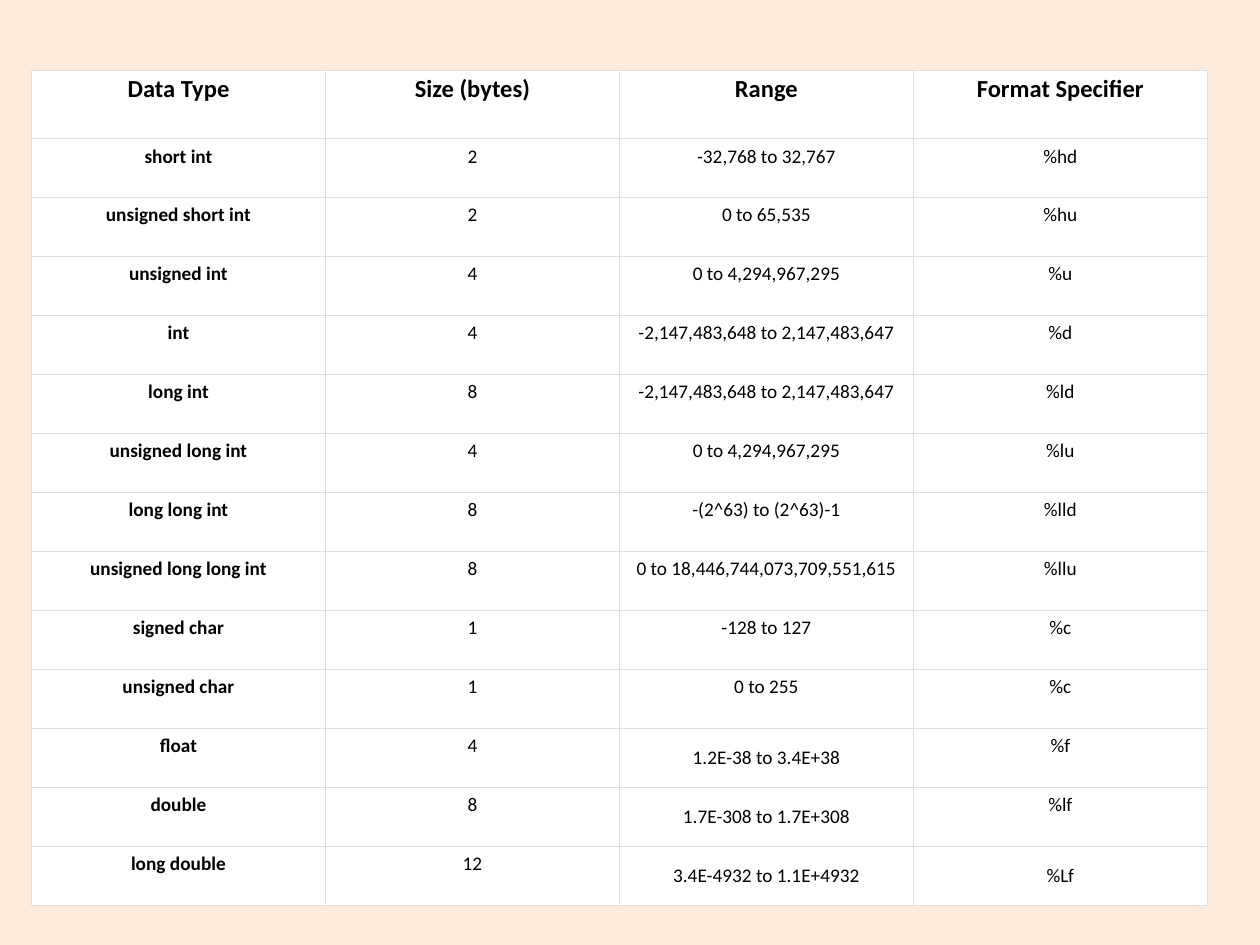
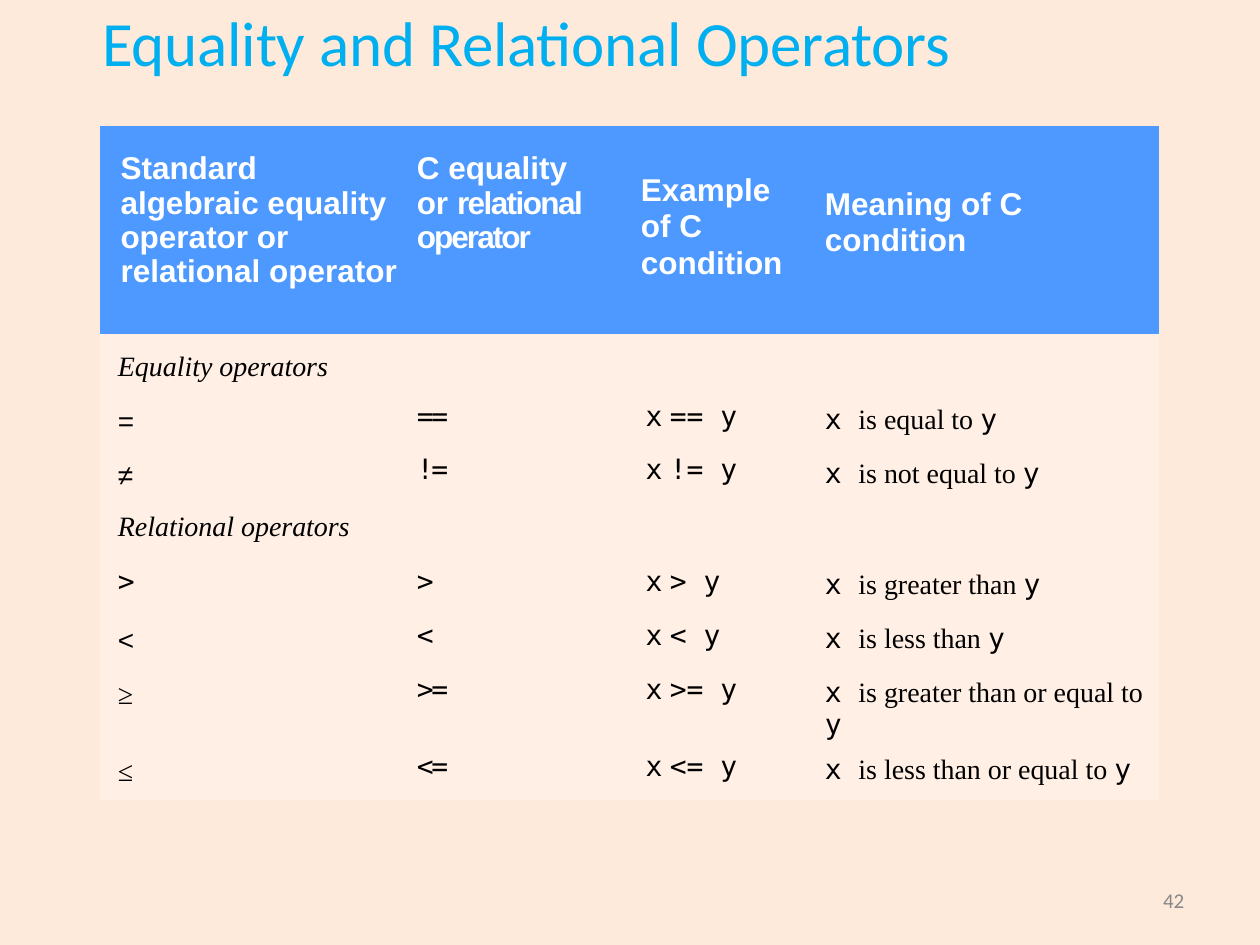
import dataclasses

import pptx
import pptx.dml.color
import pptx.enum.text
import pptx.oxml
import pptx.oxml.ns
import pptx.util

Pt = pptx.util.Pt
Align = pptx.enum.text.PP_ALIGN
Anchor = pptx.enum.text.MSO_ANCHOR


@dataclasses.dataclass(frozen=True)
class Theme:
    background: str = "FDEADA"
    title: str = "00AFEF"
    ink: str = "000000"
    white: str = "FFFFFF"
    grid: str = "DFDFDF"
    header_band: str = "4D99FF"
    body_band: str = "FFEFE4"
    page_number: str = "888888"
    sans: str = "Calibri"
    header_font: str = "Arial"
    serif: str = "Times New Roman"
    mono: str = "DejaVu Sans Mono"
    title_size: int = 36
    operator_header_size: int = 18
    operator_size: int = 16
    type_header_size: int = 14
    type_size: int = 11
    page_size: int = 12


theme = Theme()
NO_STYLE = "{2D5ABB26-0587-4C30-8999-92F81FD0307C}"


def add_plain_table(slide, left, top, widths, heights):
    """Add an unstyled table with the given column widths and row heights."""
    table = slide.shapes.add_table(
        len(heights), len(widths), Pt(left), Pt(top), Pt(sum(widths)), Pt(sum(heights))
    ).table
    table.first_row = table.horz_banding = False
    table._tbl.tblPr[0].text = NO_STYLE
    for column, width in zip(table.columns, widths):
        column.width = Pt(width)
    for row, height in zip(table.rows, heights):
        row.height = Pt(height)
    return table


def write(frame, runs, size, color, align=Align.LEFT, bold=False, italic=False):
    """Fill the first paragraph with (text, font, letter spacing) runs."""
    paragraph = frame.paragraphs[0]
    paragraph.alignment = align
    for text, font, spacing in runs:
        run = paragraph.add_run()
        run.text = text
        run.font.name = font
        run.font.size = Pt(size)
        run.font.bold = bold
        run.font.italic = italic
        run.font.color.rgb = pptx.dml.color.RGBColor.from_string(color)
        if spacing:
            run._r.get_or_add_rPr().set("spc", str(round(spacing * 100)))
    return paragraph


# Presentation and shared background
prs = pptx.Presentation()
prs.slide_width, prs.slide_height = Pt(720), Pt(540)
background = prs.slide_master.background.fill
background.solid()
background.fore_color.rgb = pptx.dml.color.RGBColor.from_string(theme.background)

# Slide 1: data types
types_slide = prs.slides.add_slide(prs.slide_layouts[6])
data_types = [
    ("Data Type", "Size (bytes)", "Range", "Format Specifier"),
    ("short int", "2", "-32,768 to 32,767", "%hd"),
    ("unsigned short int", "2", "0 to 65,535", "%hu"),
    ("unsigned int", "4", "0 to 4,294,967,295", "%u"),
    ("int", "4", "-2,147,483,648 to 2,147,483,647", "%d"),
    ("long int", "8", "-2,147,483,648 to 2,147,483,647", "%ld"),
    ("unsigned long int", "4", "0 to 4,294,967,295", "%lu"),
    ("long long int", "8", "-(2^63) to (2^63)-1", "%lld"),
    ("unsigned long long int", "8", "0 to 18,446,744,073,709,551,615", "%llu"),
    ("signed char", "1", "-128 to 127", "%c"),
    ("unsigned char", "1", "0 to 255", "%c"),
    ("float", "4", "1.2E-38 to 3.4E+38", "%f"),
    ("double", "8", "1.7E-308 to 1.7E+308", "%lf"),
    ("long double", "12", "3.4E-4932 to 1.1E+4932", "%Lf"),
]
centred_cells = {(11, 2), (12, 2), (13, 2), (13, 3)}
types_table = add_plain_table(
    types_slide, 18, 40.2, [168] * 4, [38.8] + [33.71] * (len(data_types) - 1)
)
for r, record in enumerate(data_types):
    for c, value in enumerate(record):
        cell = types_table.cell(r, c)
        cell.fill.solid()
        cell.fill.fore_color.rgb = pptx.dml.color.RGBColor.from_string(theme.white)
        cell.margin_left = cell.margin_right = Pt(2)
        cell.margin_top = cell.margin_bottom = Pt(3.6 if r else 2.2)
        cell.vertical_anchor = Anchor.MIDDLE if (r, c) in centred_cells else Anchor.TOP
        write(
            cell.text_frame, [(value, theme.sans, 0)],
            theme.type_size if r else theme.type_header_size,
            theme.ink, Align.CENTER, bold=r == 0 or c == 0,
        )
        # Thin grid lines go before the fill in the cell properties
        for i, side in enumerate(("lnL", "lnR", "lnT", "lnB")):
            cell._tc.get_or_add_tcPr().insert(i, pptx.oxml.parse_xml(
                f'<a:{side} {pptx.oxml.ns.nsdecls("a")} w="2286"><a:solidFill>'
                f'<a:srgbClr val="{theme.grid}"/></a:solidFill></a:{side}>'
            ))

# Slide 2: title
operators_slide = prs.slides.add_slide(prs.slide_layouts[5])
title = operators_slide.shapes.title
title.left, title.top, title.width, title.height = Pt(58.3), Pt(2.2), Pt(490), Pt(45.4)
heading = title.text_frame
heading.margin_left = heading.margin_top = heading.margin_right = heading.margin_bottom = 0
heading.vertical_anchor = Anchor.TOP
heading.auto_size = pptx.enum.text.MSO_AUTO_SIZE.NONE
write(
    heading, [("Equality and Relational Operators", theme.sans, -0.1)],
    theme.title_size, theme.title,
)

# Slide 2: operator table and its bands
row_heights = [118.9, 35.3, 31, 31, 31, 32.4, 31, 43.2, 31.7]
operators_table = add_plain_table(
    operators_slide, 57.4, 72, [171.4, 121.7, 28.1, 84.2, 199.4], row_heights
)
for r in range(len(row_heights)):
    for c in range(5):
        cell = operators_table.cell(r, c)
        cell.fill.solid()
        cell.fill.fore_color.rgb = pptx.dml.color.RGBColor.from_string(
            theme.body_band if r else theme.header_band
        )
        cell.margin_left = cell.margin_top = cell.margin_right = cell.margin_bottom = 0
operators_table.cell(0, 2).merge(operators_table.cell(0, 3))

# Column heads: column, runs, left, top and right insets, line spacing
arial = theme.header_font
column_heads = [
    (0, [("Standard algebraic equality operator or relational operator", arial, 0)],
     11.5, 15.1, 0, 0.97),
    (1, [("C equality or ", arial, 0), ("relational ", arial, -0.9),
         ("operator", arial, -1.1)], 9.4, 15.1, 18, 0.97),
    (2, [("Example of C condition", arial, 0)], 15.8, 26, 6, Pt(20.9)),
    (4, [("Meaning of C condition", arial, 0)], 8.6, 35, 0, 1.0),
]
for c, runs, left, top, right, line_spacing in column_heads:
    cell = operators_table.cell(0, c)
    cell.margin_left, cell.margin_top, cell.margin_right = Pt(left), Pt(top), Pt(right)
    head = write(
        cell.text_frame, runs, theme.operator_header_size, theme.white, bold=True
    )
    head.line_spacing = line_spacing

# Group headings
for r, group, top in ((1, "Equality operators", 9.8), (4, "Relational operators", 4)):
    cell = operators_table.cell(r, 0)
    cell.merge(operators_table.cell(r, 1))
    cell.margin_left, cell.margin_top = Pt(10), Pt(top)
    write(
        cell.text_frame, [(group, theme.serif, 0)],
        theme.operator_size, theme.ink, italic=True,
    )

# Operators: row, algebraic sign, its font, its drop, C operator, meaning, top inset
operators = [
    (2, "=", theme.header_font, 3.4, "==", "is equal to ", 2.5),
    (3, "≠", theme.header_font, 3.4, "!=", "is not equal to ", 2.3),
    (5, ">", theme.mono, 0, ">", "is greater than ", 3.9),
    (6, "<", theme.header_font, 3.4, "<", "is less than ", 2.3),
    (7, "≥", theme.serif, 3.2, ">=", "is greater than or equal to ", 2.3),
    (8, "≤", theme.serif, 3.2, "<=", "is less than or equal to ", 3.2),
]
for r, sign, sign_font, drop, operator, meaning, top in operators:
    tightening = -1.3 if len(operator) == 2 else 0
    entries = [
        ([(sign, sign_font, 0)], 10, top + drop, Align.LEFT),
        ([(operator, theme.mono, tightening)], 9.4, top, Align.LEFT),
        ([("x", theme.mono, 0)], 0, top, Align.RIGHT),
        ([(f"{operator} y", theme.mono, 0)], 4.3, top, Align.LEFT),
        ([("x ", theme.mono, 0), (meaning, theme.serif, 0), ("y", theme.mono, 0)],
         8.6, top + 1.9, Align.LEFT),
    ]
    for c, (runs, left, inset, align) in enumerate(entries):
        cell = operators_table.cell(r, c)
        cell.margin_left, cell.margin_top = Pt(left), Pt(inset)
        write(cell.text_frame, runs, theme.operator_size, theme.ink, align)

# Slide 2: page number
page_frame = operators_slide.shapes.add_textbox(
    Pt(661.7), Pt(509), Pt(18), Pt(13.7)
).text_frame
page_frame.word_wrap = True
page_frame.margin_left = Pt(2.9)
page_frame.margin_top = page_frame.margin_right = page_frame.margin_bottom = 0
page = write(page_frame, [("42", theme.sans, 0)], theme.page_size, theme.page_number)
page.line_spacing = Pt(12.4)

prs.save("out.pptx")
